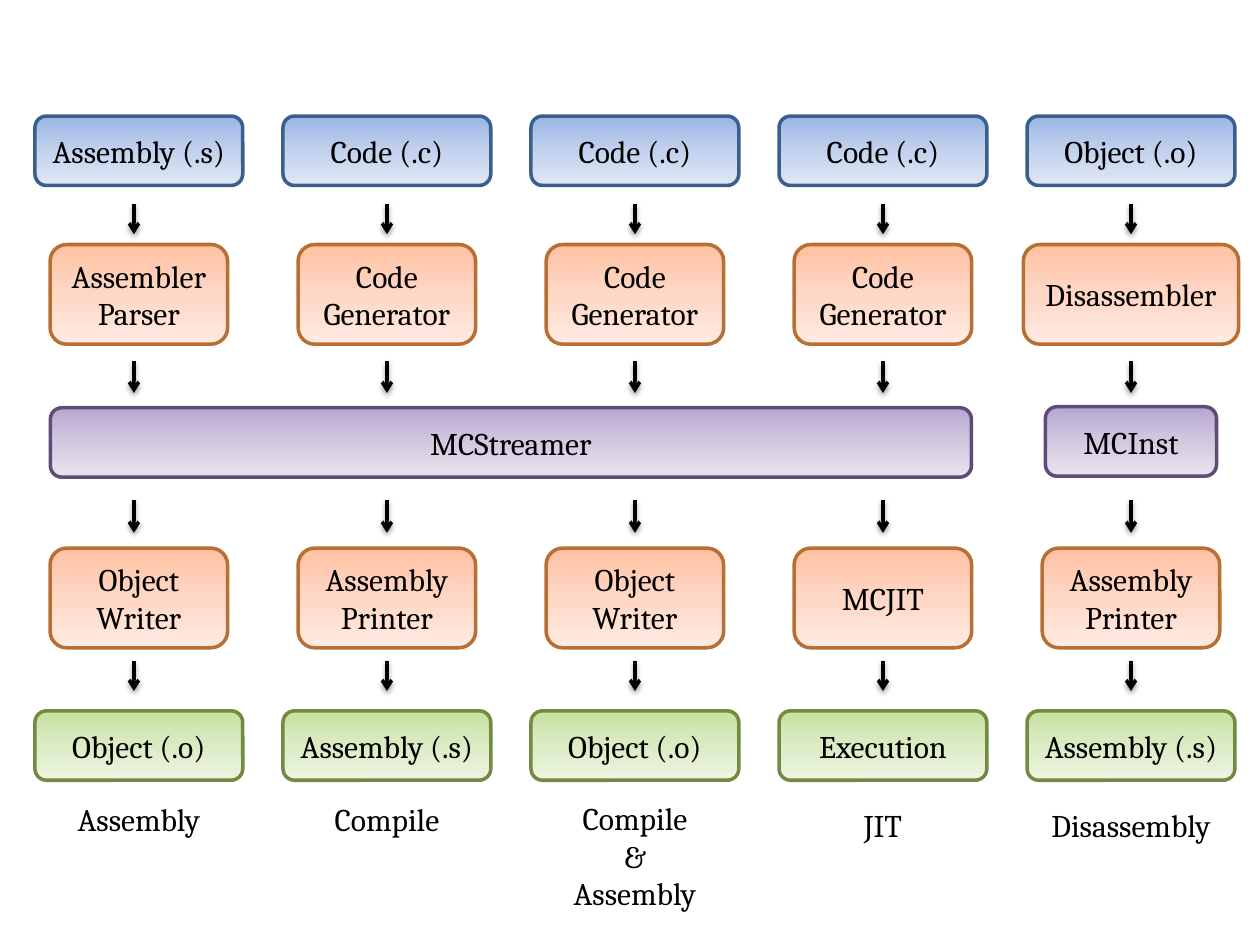
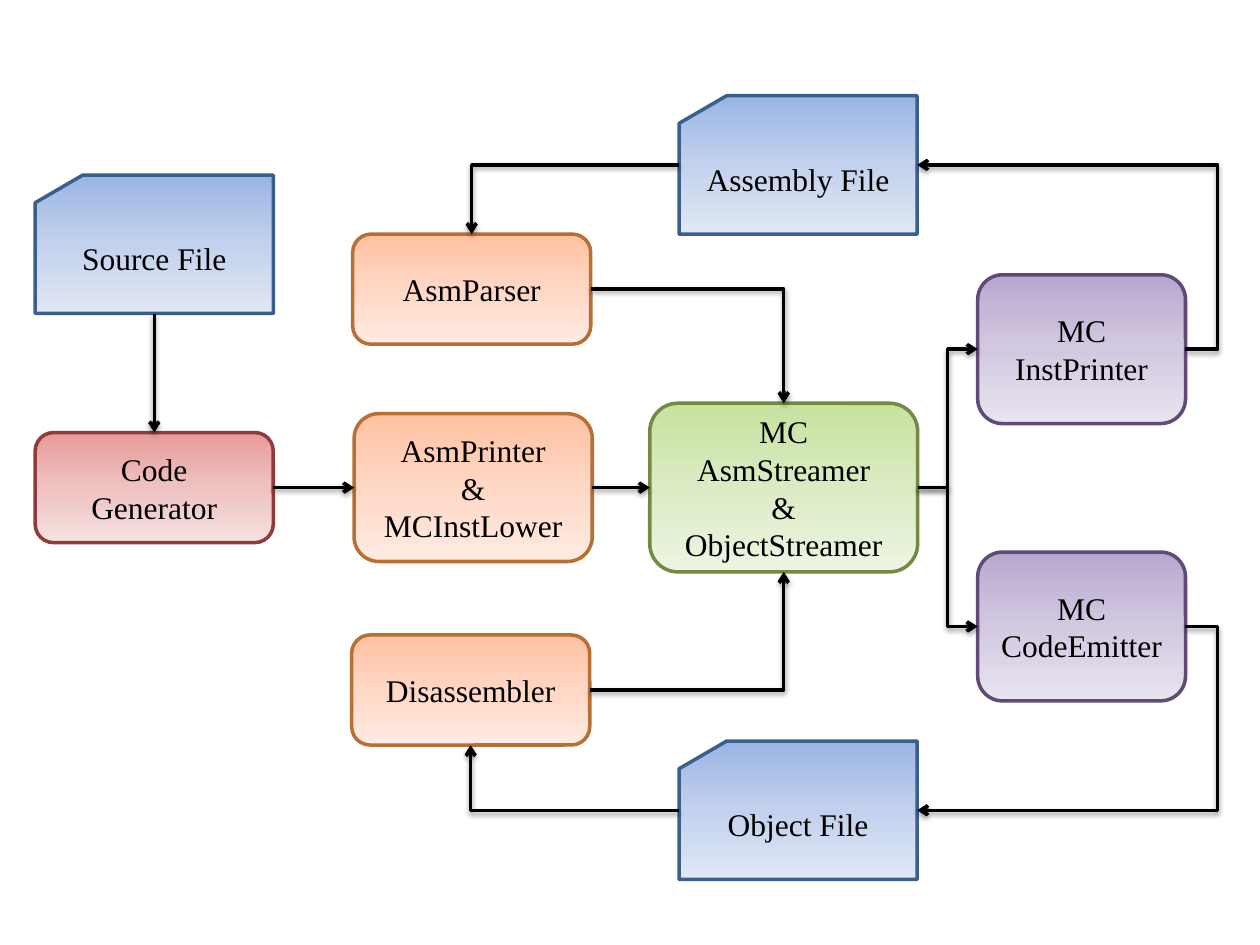
"""Build two slides on machine-code tool chains: the pipelines and the class flow."""
from copy import deepcopy
from dataclasses import dataclass
from typing import NamedTuple

from lxml.etree import SubElement
from pptx import Presentation
from pptx.dml.color import RGBColor
from pptx.enum.shapes import MSO_CONNECTOR as Route, MSO_SHAPE as Preset
from pptx.enum.text import MSO_ANCHOR as Anchor, PP_ALIGN as Align
from pptx.oxml.ns import qn
from pptx.presentation import Presentation as Deck
from pptx.shapes.autoshape import Shape
from pptx.shapes.connector import Connector
from pptx.slide import Slide
from pptx.text.text import TextFrame
from pptx.util import Cm, Pt

BLACK = RGBColor(0x00, 0x00, 0x00)
PIPELINE_FONT = "Cambria"
FLOW_FONT = "Times New Roman"
TOP, LEFT, BOTTOM, RIGHT = range(4)


class Palette(NamedTuple):
    """Gradient from top to bottom, and the outline."""
    top: RGBColor
    middle: RGBColor
    bottom: RGBColor
    outline: RGBColor


BLUE = Palette(RGBColor(0x9A, 0xB5, 0xE4), RGBColor(0xC2, 0xD1, 0xED),
               RGBColor(0xE1, 0xE8, 0xF5), RGBColor(0x3A, 0x5F, 0x8C))
GREEN = Palette(RGBColor(0xC7, 0xE2, 0x9E), RGBColor(0xDB, 0xEB, 0xC4),
                RGBColor(0xED, 0xF5, 0xE2), RGBColor(0x73, 0x8A, 0x42))
ORANGE = Palette(RGBColor(0xFF, 0xC1, 0xA1), RGBColor(0xFF, 0xD7, 0xC5),
                 RGBColor(0xFF, 0xEB, 0xE3), RGBColor(0xB7, 0x6F, 0x34))
PURPLE = Palette(RGBColor(0xB7, 0xA7, 0xD0), RGBColor(0xD2, 0xC9, 0xE0),
                 RGBColor(0xE9, 0xE4, 0xEF), RGBColor(0x5F, 0x4A, 0x78))
RED = Palette(RGBColor(0xE7, 0x9A, 0x99), RGBColor(0xEE, 0xC2, 0xC1),
              RGBColor(0xF6, 0xE1, 0xE1), RGBColor(0x8E, 0x3B, 0x39))


@dataclass(frozen=True)
class Node:
    """A labelled box, in centimetres."""
    label: str
    left: float
    top: float
    width: float
    height: float
    palette: Palette
    preset: Preset = Preset.ROUNDED_RECTANGLE


@dataclass(frozen=True)
class Pipeline:
    """One column of the pipeline chart, from input to caption."""
    source: str
    front_end: str
    back_end: str
    output: str
    caption: str
    caption_top: float
    caption_width: float
    caption_height: float = 1.02
    front_width: float = 3.58


@dataclass(frozen=True)
class Flow:
    """An arrow between sides of two nodes; bends is 0, 1 or 2."""
    start: str
    start_side: int
    end: str
    end_side: int
    bends: int = 0
    bend_at: float = 0.5


PIPELINES = [
    Pipeline("Assembly (.s)", "Assembler\nParser", "Object\nWriter", "Object (.o)",
             "Assembly", 16, 3.07),
    Pipeline("Code (.c)", "Code\nGenerator", "Assembly\nPrinter", "Assembly (.s)",
             "Compile", 16, 2.72),
    Pipeline("Code (.c)", "Code\nGenerator", "Object\nWriter", "Object (.o)",
             "Compile\n&\nAssembly", 15.98, 3.07, 2.57),
    Pipeline("Code (.c)", "Code\nGenerator", "MCJIT", "Execution",
             "JIT", 16.13, 1.37),
    Pipeline("Object (.o)", "Disassembler", "Assembly\nPrinter", "Assembly (.s)",
             "Disassembly", 16.13, 3.78, front_width=4.34),
]
CENTRES = [2.8 + 5 * column for column in range(len(PIPELINES))]
ARROW_XS = [2.7, *CENTRES[1:]]
ARROW_SPANS = [(4.11, 4.72), (7.28, 7.92), (10.08, 10.74), (13.33, 13.93)]
FILE_HEIGHT, STAGE_HEIGHT = 1.4, 2.01
FILE_WIDTH, STAGE_WIDTH = 4.19, 3.58

CARD = Preset.FLOWCHART_CARD
NODES = {
    "streamer": Node("MC\nAsmStreamer\n&\nObjectStreamer", 13.1, 8.13, 5.4, 3.4, GREEN),
    "inst printer": Node("MC\nInstPrinter", 19.71, 5.54, 4.19, 3, PURPLE),
    "emitter": Node("MC\nCodeEmitter", 19.71, 11.13, 4.19, 3, PURPLE),
    "assembly": Node("Assembly File", 13.69, 1.93, 4.8, 2.79, BLUE, CARD),
    "object": Node("Object File", 13.69, 14.94, 4.8, 2.79, BLUE, CARD),
    "disassembler": Node("Disassembler", 7.09, 12.8, 4.8, 2.22, ORANGE),
    "parser": Node("AsmParser", 7.11, 4.72, 4.8, 2.22, ORANGE),
    "lowering": Node("AsmPrinter\n&\nMCInstLower", 7.14, 8.34, 4.8, 2.98, ORANGE),
    "generator": Node("Code\nGenerator", 0.71, 8.72, 4.8, 2.22, RED),
    "source": Node("Source File", 0.71, 3.53, 4.8, 2.79, BLUE, CARD),
}
FLOWS = [
    Flow("source", BOTTOM, "generator", TOP),
    Flow("generator", RIGHT, "lowering", LEFT),
    Flow("lowering", RIGHT, "streamer", LEFT),
    Flow("parser", RIGHT, "streamer", TOP, 1),
    Flow("disassembler", RIGHT, "streamer", BOTTOM, 1),
    Flow("assembly", LEFT, "parser", TOP, 1),
    Flow("object", LEFT, "disassembler", BOTTOM, 1),
    Flow("streamer", RIGHT, "inst printer", LEFT, 2),
    Flow("streamer", RIGHT, "emitter", LEFT, 2),
    Flow("inst printer", RIGHT, "assembly", RIGHT, 2, -0.12),
    Flow("emitter", RIGHT, "object", RIGHT, 2, -0.12),
]


def write_label(frame: TextFrame, label: str, font_name: str) -> None:
    """Fill a text frame with centred black lines."""
    frame.text = label
    for paragraph in frame.paragraphs:
        paragraph.alignment = Align.CENTER
        paragraph.font.size = Pt(18)
        paragraph.font.name = font_name
        paragraph.font.color.rgb = BLACK


def paint(shape: Shape, palette: Palette) -> None:
    """Apply the three-step vertical gradient and the outline."""
    shape.shadow.inherit = False
    shape.fill.gradient()
    shape.fill.gradient_angle = 270
    stops = shape._element.spPr.find(f".//{qn('a:gsLst')}")
    stops.append(deepcopy(stops[0]))
    for step, (stop, color) in enumerate(zip(shape.fill.gradient_stops, palette[:3])):
        stop.color.rgb = color
        stop.position = step / 2
    shape.line.color.rgb = palette.outline
    shape.line.width = Pt(2)


def draw_node(slide: Slide, node: Node, font_name: str) -> Shape:
    """Draw one labelled box."""
    shape = slide.shapes.add_shape(node.preset, Cm(node.left), Cm(node.top),
                                   Cm(node.width), Cm(node.height))
    paint(shape, node.palette)
    shape.text_frame.vertical_anchor = Anchor.MIDDLE
    write_label(shape.text_frame, node.label, font_name)
    return shape


def style_arrow(arrow: Connector) -> None:
    """Give a connector its black line, arrowhead and soft shadow."""
    arrow.line.color.rgb = BLACK
    arrow.line.width = Pt(2)
    properties = arrow._element.spPr
    SubElement(properties.find(qn("a:ln")), qn("a:tailEnd"), type="arrow")
    effects = SubElement(properties, qn("a:effectLst"))
    shadow = SubElement(effects, qn("a:outerShdw"), blurRad=str(Pt(3.1)),
                        dist=str(Pt(1.6)), dir="5400000", rotWithShape="0")
    tint = SubElement(shadow, qn("a:srgbClr"), val=str(BLACK))
    SubElement(tint, qn("a:alpha"), val="38000")


def draw_flow(slide: Slide, flow: Flow, shapes: dict[str, Shape]) -> None:
    """Join two nodes with a straight or bent arrow."""
    route = Route.ELBOW if flow.bends else Route.STRAIGHT
    arrow = slide.shapes.add_connector(route, 0, 0, 0, 0)
    arrow.begin_connect(shapes[flow.start], flow.start_side)
    arrow.end_connect(shapes[flow.end], flow.end_side)
    geometry = arrow._element.spPr.find(qn("a:prstGeom"))
    if flow.bends == 1:
        geometry.set("prst", "bentConnector2")
    elif flow.bends == 2:
        SubElement(geometry.find(qn("a:avLst")), qn("a:gd"), name="adj1",
                   fmla=f"val {round(flow.bend_at * 100000)}")
    style_arrow(arrow)


def centred_node(label: str, centre: float, top: float, width: float,
                 height: float, palette: Palette) -> Node:
    """Make a node from its horizontal centre."""
    return Node(label, centre - width / 2, top, width, height, palette)


def draw_caption(slide: Slide, pipeline: Pipeline, centre: float) -> None:
    """Name a pipeline below its output."""
    caption = slide.shapes.add_textbox(
        Cm(centre - pipeline.caption_width / 2), Cm(pipeline.caption_top),
        Cm(pipeline.caption_width), Cm(pipeline.caption_height))
    caption.text_frame.word_wrap = False
    write_label(caption.text_frame, pipeline.caption, PIPELINE_FONT)


def build_pipelines(deck: Deck) -> None:
    """Draw five pipelines that meet in the streamer or the instruction."""
    slide = deck.slides.add_slide(deck.slide_layouts[6])
    nodes = [
        centred_node("MCStreamer", (CENTRES[0] + CENTRES[3]) / 2, 8.22, 18.57,
                     FILE_HEIGHT, PURPLE),
        centred_node("MCInst", CENTRES[4], 8.2, 3.45, FILE_HEIGHT, PURPLE),
    ]
    for pipeline, centre in zip(PIPELINES, CENTRES):
        nodes += [
            centred_node(pipeline.source, centre, 2.34, FILE_WIDTH, FILE_HEIGHT, BLUE),
            centred_node(pipeline.front_end, centre, 4.93, pipeline.front_width,
                         STAGE_HEIGHT, ORANGE),
            centred_node(pipeline.back_end, centre, 11.05, STAGE_WIDTH,
                         STAGE_HEIGHT, ORANGE),
            centred_node(pipeline.output, centre, 14.33, FILE_WIDTH, FILE_HEIGHT, GREEN),
        ]
        draw_caption(slide, pipeline, centre)
    for node in nodes:
        draw_node(slide, node, PIPELINE_FONT)
    for start, end in ARROW_SPANS:
        for x in ARROW_XS:
            style_arrow(slide.shapes.add_connector(
                Route.STRAIGHT, Cm(x), Cm(start), Cm(x), Cm(end)))


def build_class_flow(deck: Deck) -> None:
    """Draw the classes and files, and the arrows between them."""
    slide = deck.slides.add_slide(deck.slide_layouts[6])
    shapes = {name: draw_node(slide, node, FLOW_FONT) for name, node in NODES.items()}
    for flow in FLOWS:
        draw_flow(slide, flow, shapes)


def main() -> None:
    """Build and save the deck."""
    deck = Presentation()
    deck.slide_width, deck.slide_height = Cm(25.4), Cm(19.05)
    build_pipelines(deck)
    build_class_flow(deck)
    deck.save("out.pptx")


if __name__ == "__main__":
    main()
